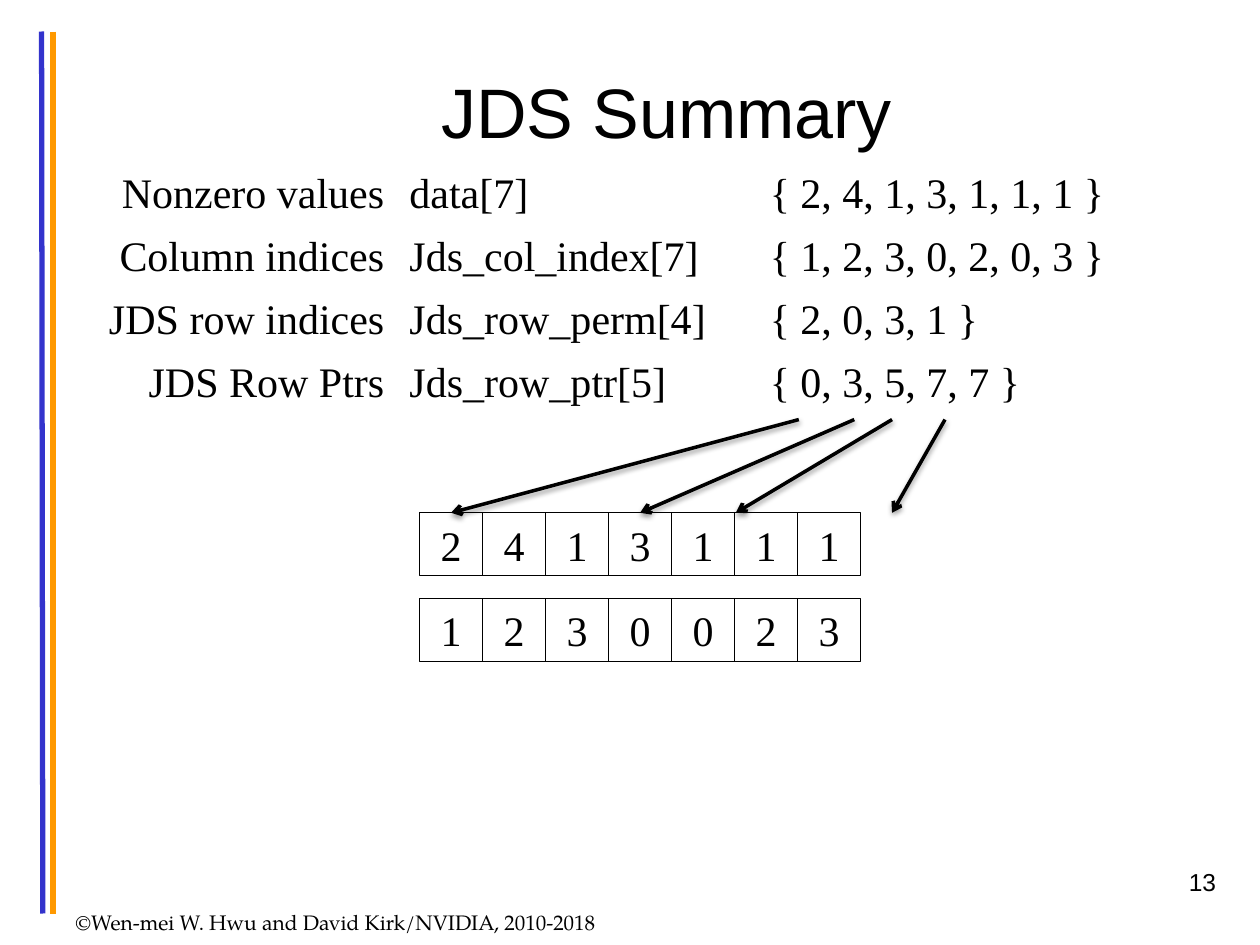
from lxml import etree
from pptx import Presentation
from pptx.dml.color import RGBColor
from pptx.enum.shapes import MSO_CONNECTOR, MSO_SHAPE
from pptx.enum.text import MSO_ANCHOR, PP_ALIGN
from pptx.oxml.ns import qn
from pptx.util import Inches, Pt

LEFT, CENTER, RIGHT = PP_ALIGN.LEFT, PP_ALIGN.CENTER, PP_ALIGN.RIGHT
MIDDLE = MSO_ANCHOR.MIDDLE
STRAIGHT, RECTANGLE = MSO_CONNECTOR.STRAIGHT, MSO_SHAPE.RECTANGLE
BLACK = "000000"
SERIF = "Times New Roman"


def write(frame, text, size, font, align):
    frame.text = text
    para = frame.paragraphs[0]
    para.alignment = align
    para.font.size = Pt(size)
    para.font.name = font
    para.font.color.rgb = RGBColor.from_string(BLACK)


def draw_line(start, end, color, width):
    line = page.shapes.add_connector(STRAIGHT, *map(Inches, start + end))
    line.line.color.rgb = RGBColor.from_string(color)
    line.line.width = Pt(width)
    effects = etree.SubElement(line._element.spPr, qn("a:effectLst"))
    return line, effects


deck = Presentation()
deck.slide_width, deck.slide_height = Inches(10), Inches(7.5)
page = deck.slides.add_slide(deck.slide_layouts[5])

# Two vertical rules at the left edge
draw_line((0.33, 0.25), (0.34, 7.25), "3333CC", 3)
draw_line((0.42, 0.25), (0.42, 7.25), "FF9900", 3)

# Title
title = page.shapes.title
title.left, title.top = Inches(0.75), Inches(0.25)
title.width, title.height = Inches(9.08), Inches(1.25)
title.text_frame.vertical_anchor = MIDDLE
write(title.text_frame, "JDS Summary", 40, "Arial", CENTER)

# Table of the JDS arrays
rows = [
    ("Nonzero values", "data[7]", "{ 2, 4, 1, 3, 1, 1, 1 }"),
    ("Column indices", "Jds_col_index[7]", "{ 1, 2, 3, 0, 2, 0, 3 }"),
    ("JDS row indices", "Jds_row_perm[4]", "{ 2, 0, 3, 1 }"),
    ("JDS Row Ptrs", "Jds_row_ptr[5]", "{ 0, 3, 5, 7, 7 }"),
]
table = page.shapes.add_table(len(rows), 3, Inches(0.58), Inches(1.31),
                              Inches(8.42), Inches(2)).table
table.first_row = table.horz_banding = False
for column, width in zip(table.columns, (2.57, 2.86, 2.99)):
    column.width = Inches(width)
for r, row in enumerate(rows):
    for c, text in enumerate(row):
        cell = table.cell(r, c)
        cell.fill.background()
        write(cell.text_frame, text, 24, SERIF, LEFT if c else RIGHT)

# Values and column indices in memory, one square per element
grid_left, grid_top, side = 3.33, 4.07, 0.5
for top, digits in ((grid_top, "2413111"), (4.75, "1230023")):
    for i, digit in enumerate(digits):
        box = page.shapes.add_shape(RECTANGLE, Inches(grid_left + i * side), Inches(top),
                                    Inches(side), Inches(side))
        box.shadow.inherit = False
        box.fill.background()
        box.line.color.rgb = RGBColor.from_string(BLACK)
        box.line.width = Pt(0.75)
        box.text_frame.vertical_anchor = MIDDLE
        write(box.text_frame, digit, 24, SERIF, CENTER)

# Arrows from the row pointers to the row starts
for start, end in ((6.34, 3.58), (6.78, 5.08), (7.08, 5.84), (7.5, 7.08)):
    arrow, effects = draw_line((start, 3.33), (end, grid_top), BLACK, 2)
    etree.SubElement(arrow.line._get_or_add_ln(), qn("a:tailEnd"), type="arrow")
    shadow = etree.SubElement(effects, qn("a:outerShdw"), blurRad=str(Pt(3.1)),
                              dist=str(Pt(1.6)), dir="5400000", rotWithShape="0")
    color = etree.SubElement(shadow, qn("a:srgbClr"), val=BLACK)
    etree.SubElement(color, qn("a:alpha"), val="38000")

# Footer and page number
for place, text, size, font, align in (
    ((0.5, 7.17, 5.25, 0.25), "©Wen-mei W. Hwu and David Kirk/NVIDIA, 2010-2018",
     12, "TeX Gyre Pagella", LEFT),
    ((7.67, 6.83, 2.08, 0.5), "13", 14, "Arial", RIGHT),
):
    box = page.shapes.add_textbox(*map(Inches, place))
    box.text_frame.word_wrap = True
    write(box.text_frame, text, size, font, align)

deck.save("out.pptx")
